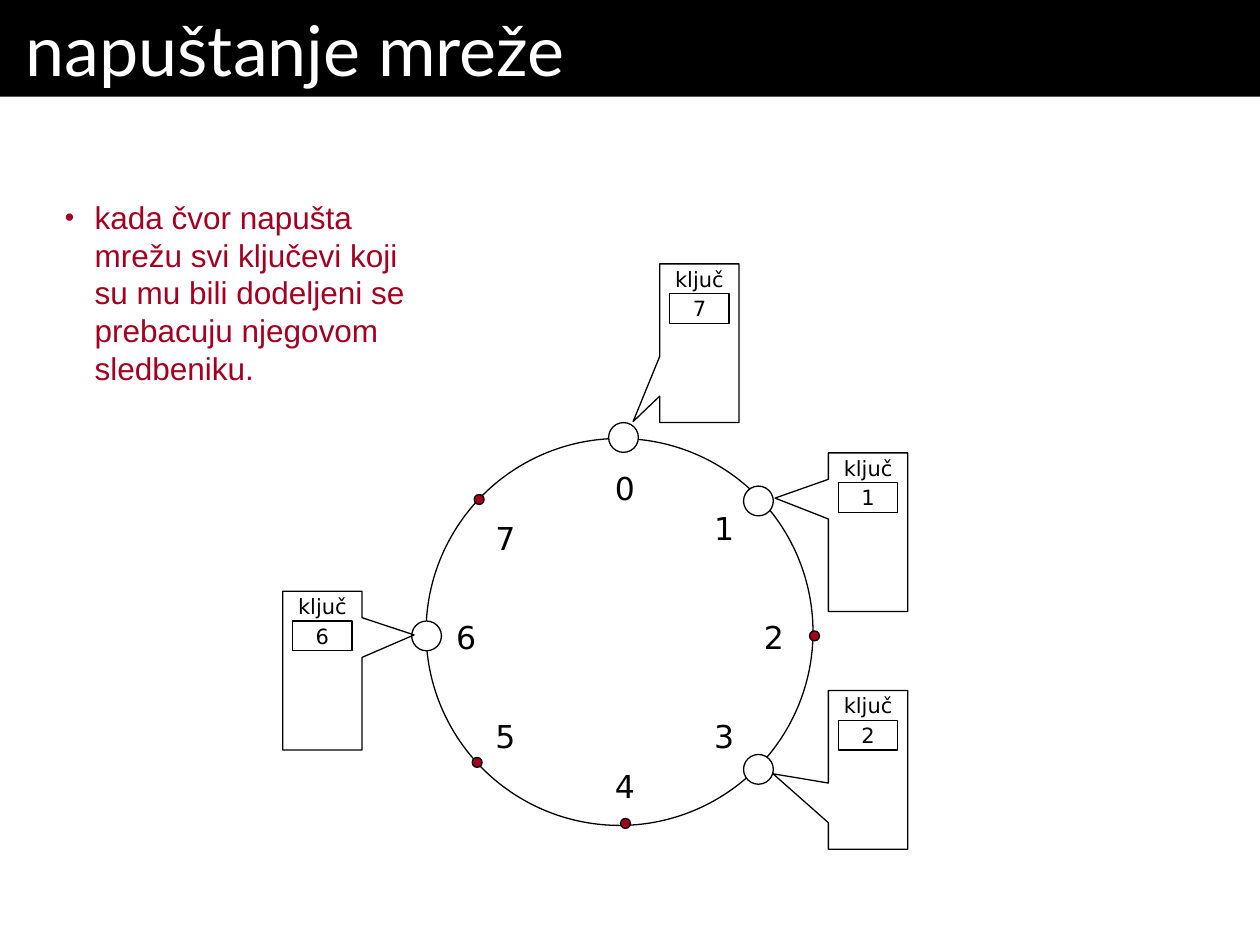
from lxml.etree import SubElement
from pptx import Presentation
from pptx.dml.color import RGBColor
from pptx.enum.shapes import MSO_SHAPE as Shape
from pptx.enum.text import MSO_ANCHOR as Anchor, PP_ALIGN as Align
from pptx.oxml.ns import qn
from pptx.util import Cm, Pt

BLACK = RGBColor(0x00, 0x00, 0x00)
WHITE = RGBColor(0xFF, 0xFF, 0xFF)
CRIMSON = RGBColor(0xA5, 0x00, 0x21)

TITLE = dict(name="Lato", size=Pt(40))
LABEL = dict(name="DejaVu Sans", size=Pt(18))
KEY = dict(name="DejaVu Sans", size=Pt(12))
BODY = dict(name="Arial", size=Pt(18))

NODE_SIZE, DOT_SIZE = 0.6, 0.2
LABEL_SIZE = 0.8
CARD_W, CARD_H = 1.6, 3.2
KEY_W, KEY_H = 1.2, 0.6

NODES = [(12.57, 8.82), (15.29, 10.1), (15.29, 15.51), (8.6, 12.82)]
DOTS = [(16.42, 12.82), (12.61, 16.6), (9.62, 15.37), (9.66, 10.07)]
LABELS = [(12.6, 9.84), (14.6, 10.64), (15.6, 12.84), (14.6, 14.84),
          (12.6, 15.84), (10.19, 14.84), (9.4, 12.84), (10.19, 10.84)]
CARDS = [
    ("1", 16.7, 9.13, (-1.172, -0.215)),
    ("2", 16.7, 13.92, (-1.197, 0.025)),
    ("7", 13.3, 5.32, (-0.836, 0.494)),
    ("6", 5.7, 11.92, (1.156, -0.225)),
]


def write(sp, text, font, color=BLACK, align=Align.CENTER,
          anchor=Anchor.MIDDLE, wrap=False, margin=0):
    tf = sp.text_frame
    frame = dict(word_wrap=wrap, vertical_anchor=anchor,
                 margin_left=Cm(margin), margin_right=Cm(margin),
                 margin_top=Cm(0.13), margin_bottom=Cm(0.13))
    for key, value in frame.items():
        setattr(tf, key, value)
    p = tf.paragraphs[0]
    p.alignment = align
    r = p.add_run()
    r.text = text
    for key, value in font.items():
        setattr(r.font, key, value)
    r.font.color.rgb = color
    return p


def add_shape(s, kind, x, y, w, h, fill=None):
    sp = s.shapes.add_shape(kind, Cm(x), Cm(y), Cm(w), Cm(h))
    sp.shadow.inherit = False
    if fill is None:
        sp.fill.background()
    else:
        sp.fill.solid()
        sp.fill.fore_color.rgb = fill
    sp.line.color.rgb = BLACK
    sp.line.width = Pt(0.75)
    return sp


def add_text(s, x, y, w, h, text, font, **options):
    box = s.shapes.add_textbox(Cm(x), Cm(y), Cm(w), Cm(h))
    return write(box, text, font, **options)


def add_circle(s, cx, cy, size, fill=None):
    add_shape(s, Shape.OVAL, cx - size / 2, cy - size / 2, size, size, fill)


def add_title(s, text):
    bar = add_shape(s, Shape.RECTANGLE, 0, 0, 25.4, 1.95, BLACK)
    bar.line.fill.background()
    write(bar, text, TITLE, color=WHITE, align=Align.LEFT,
          anchor=Anchor.TOP, wrap=True, margin=0.52)


def add_bullet(s, text):
    p = add_text(s, 1.06, 3.87, 7.42, 4.06, text, BODY, color=CRIMSON,
                 align=Align.LEFT, anchor=Anchor.BOTTOM, wrap=True,
                 margin=0.25)
    pPr = p._p.get_or_add_pPr()
    pPr.set("marL", str(Cm(0.6)))
    pPr.set("indent", str(-Cm(0.6)))
    color = SubElement(pPr, qn("a:buClr"))
    SubElement(color, qn("a:srgbClr"), val=str(CRIMSON))
    SubElement(pPr, qn("a:buSzPct"), val="85000")
    SubElement(pPr, qn("a:buFont"), typeface="Arial")
    SubElement(pPr, qn("a:buChar"), char="•")


def add_ring(s):
    add_circle(s, 12.49, 12.74, 7.8)
    for number, (cx, cy) in enumerate(LABELS):
        add_text(s, cx - LABEL_SIZE / 2, cy - LABEL_SIZE / 2,
                 LABEL_SIZE, LABEL_SIZE, str(number), LABEL)
    for cx, cy in DOTS:
        add_circle(s, cx, cy, DOT_SIZE, CRIMSON)
    for cx, cy in NODES:
        add_circle(s, cx, cy, NODE_SIZE, WHITE)


def add_key_card(s, key, x, y, tip):
    card = add_shape(s, Shape.RECTANGULAR_CALLOUT, x, y, CARD_W, CARD_H)
    card.adjustments[0], card.adjustments[1] = tip
    left = x + (CARD_W - KEY_W) / 2
    add_text(s, left, y, KEY_W, KEY_H, "ključ", KEY)
    cell = add_shape(s, Shape.RECTANGLE, left, y + KEY_H, KEY_W, KEY_H)
    write(cell, key, KEY)


def main():
    prs = Presentation()
    prs.slide_width, prs.slide_height = Cm(25.4), Cm(19.05)
    s = prs.slides.add_slide(prs.slide_layouts[6])
    add_title(s, "napuštanje mreže")
    add_ring(s)
    for card in CARDS:
        add_key_card(s, *card)
    add_bullet(s, "kada čvor napušta mrežu svi ključevi koji su mu bili "
                  "dodeljeni se prebacuju njegovom sledbeniku.")
    prs.save("out.pptx")


if __name__ == "__main__":
    main()
